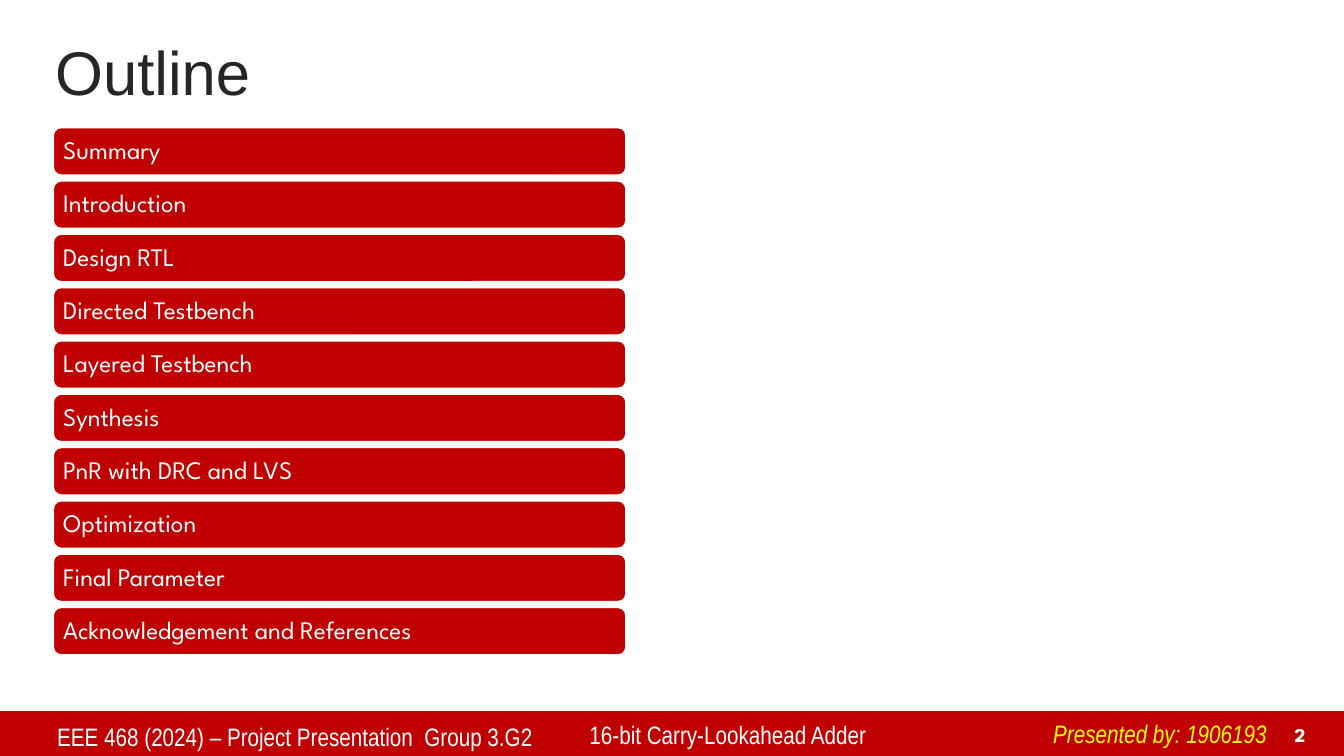
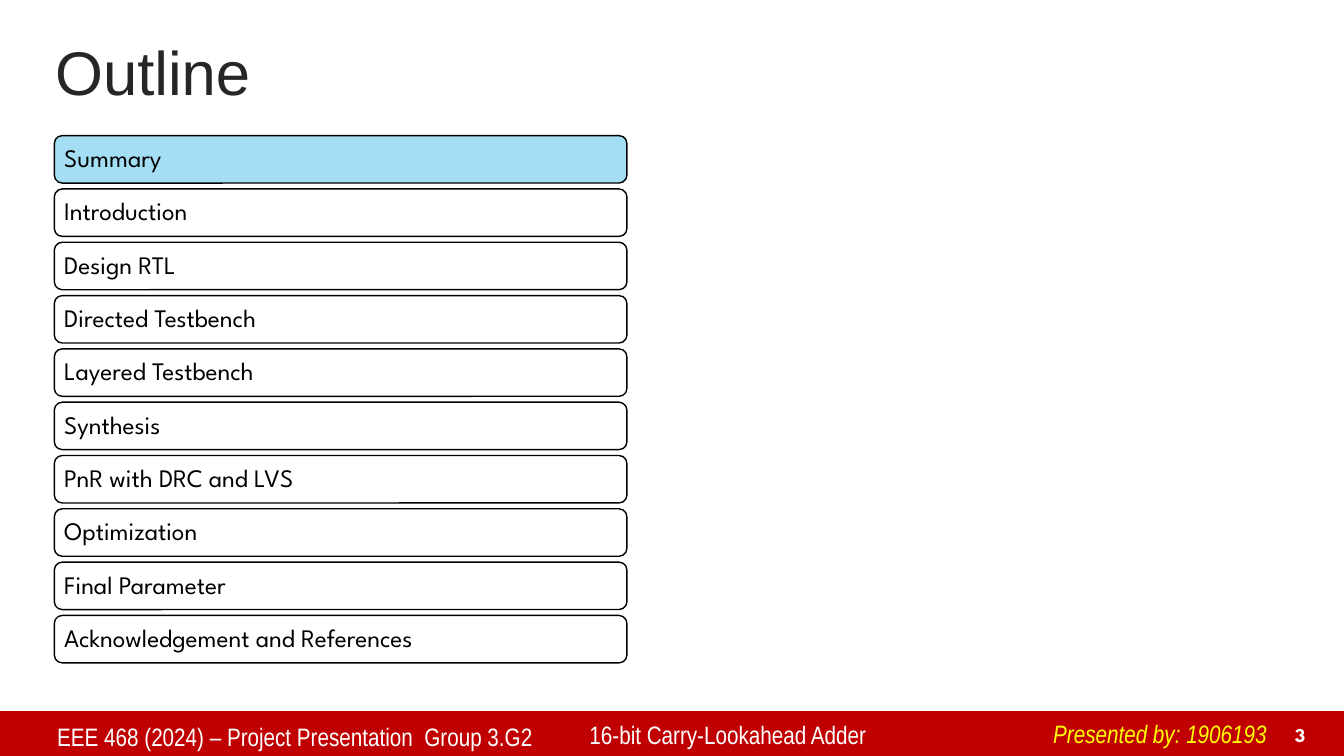
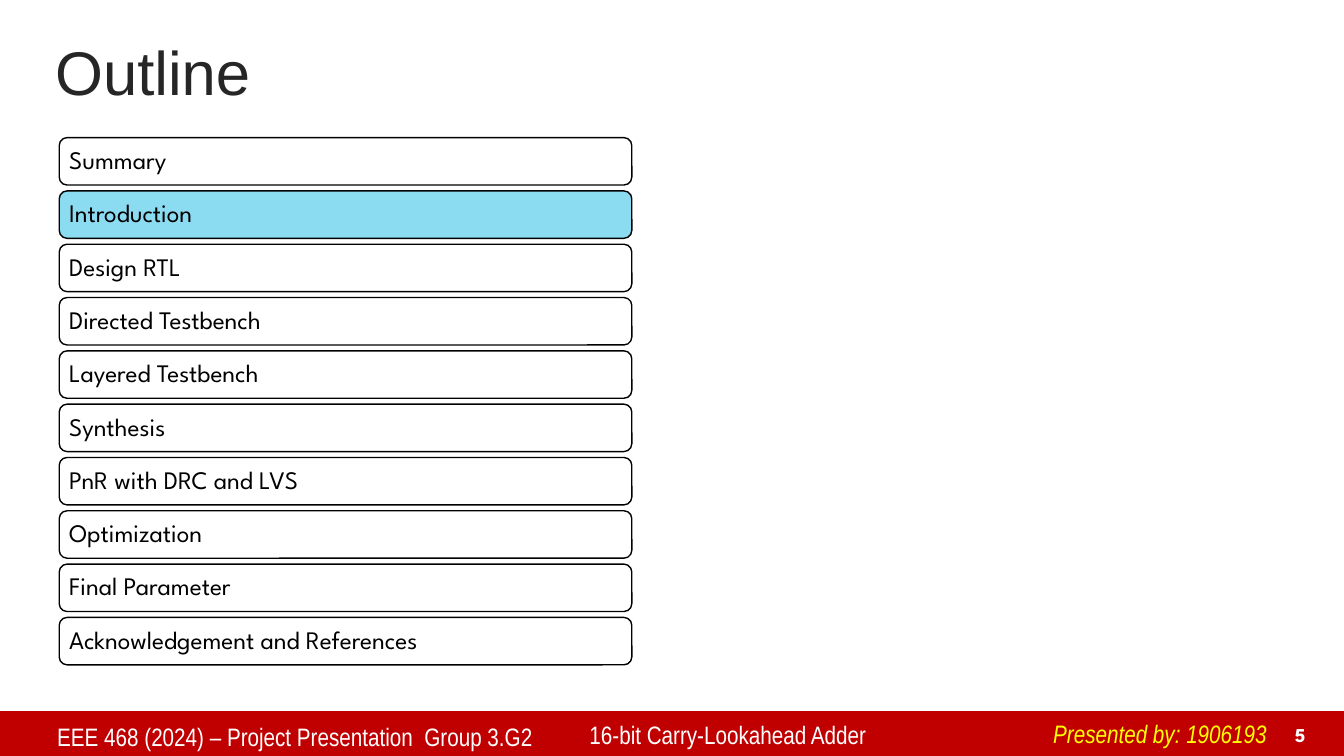
"""Build three outline slides for an adder project presentation."""
from pptx import Presentation
from pptx.dml.color import RGBColor
from pptx.enum.shapes import MSO_SHAPE
from pptx.enum.text import MSO_ANCHOR, PP_ALIGN
from pptx.util import Pt

COLORS = {
    "red": "C00000",
    "white": "FFFFFF",
    "black": "000000",
    "title": "262626",
    "yellow": "FFFF00",
    "sky": "A4DEF4",
    "aqua": "8BDBF1",
}
TITLE_FONT = "Arial"
FOOTER_FONT = "Arial Narrow"
TOPIC_FONT = "League Spartan"

TOPICS = [
    "Summary",
    "Introduction",
    "Design RTL",
    "Directed Testbench",
    "Layered Testbench",
    "Synthesis",
    "PnR with DRC and LVS",
    "Optimization",
    "Final Parameter",
    "Acknowledgement and References",
]
TOPIC_WIDTH, TOPIC_HEIGHT, TOPIC_PITCH = 409, 33.9, 38.08


def rgb(name):
    return RGBColor.from_string(COLORS[name])


def write(frame, text, font, size, color, bold=False, italic=False):
    frame.text = text
    paragraph = frame.paragraphs[0]
    run_font = paragraph.runs[0].font
    run_font.name, run_font.size = font, Pt(size)
    run_font.color.rgb = rgb(color)
    run_font.bold, run_font.italic = bold, italic
    return paragraph


def add_label(slide, box, text, font, size, color, wrap=True, **style):
    frame = slide.shapes.add_textbox(*map(Pt, box)).text_frame
    frame.word_wrap = wrap
    return frame, write(frame, text, font, size, color, **style)


def add_block(slide, kind, box, fill, outline=None):
    block = slide.shapes.add_shape(kind, *map(Pt, box))
    block.shadow.inherit = False
    block.fill.solid()
    block.fill.fore_color.rgb = rgb(fill)
    if outline:
        block.line.color.rgb = rgb(outline)
        block.line.width = Pt(1)
    else:
        block.line.fill.background()
    return block


def add_title(slide, text):
    frame, heading = add_label(slide, (32.4, 25.2, 792, 57.6), text, TITLE_FONT, 44, "title")
    frame.vertical_anchor = MSO_ANCHOR.MIDDLE
    heading.line_spacing = 0.9


def add_footer(slide, number):
    add_block(slide, MSO_SHAPE.RECTANGLE, (0, 508, 960, 32), "red")
    frame, page = add_label(slide, (898.6, 512, 41, 24.5), str(number), TOPIC_FONT, 14,
                            "white", bold=True)
    frame.vertical_anchor = MSO_ANCHOR.BOTTOM
    page.alignment = PP_ALIGN.RIGHT
    add_label(slide, (33.8, 512, 380, 29), "EEE 468 (2024) – Project Presentation  Group 3.G2",
              FOOTER_FONT, 18, "white")
    add_label(slide, (414, 510.5, 305, 29), "16-bit Carry-Lookahead Adder",
              FOOTER_FONT, 18, "white")
    add_label(slide, (745.2, 509.8, 169, 29), "Presented by: 1906193",
              FOOTER_FONT, 18, "yellow", wrap=False, italic=True)


def add_topic(slide, left, top, text, fill, ink, outline):
    box = (left, top, TOPIC_WIDTH, TOPIC_HEIGHT)
    bar = add_block(slide, MSO_SHAPE.ROUNDED_RECTANGLE, box, fill, outline)
    frame = bar.text_frame
    frame.word_wrap = True
    frame.vertical_anchor = MSO_ANCHOR.MIDDLE
    frame.margin_left = frame.margin_right = Pt(5.4)
    frame.margin_top = frame.margin_bottom = Pt(5.4)
    topic = write(frame, text, TOPIC_FONT, 18, ink)
    topic.alignment = PP_ALIGN.LEFT
    topic.line_spacing = 0.9


def add_outline(deck, number, left, top, fill, ink, outline, current=None, highlight=None):
    slide = deck.slides.add_slide(deck.slide_layouts[6])
    add_title(slide, "Outline")
    add_footer(slide, number)
    for index, text in enumerate(TOPICS):
        topic_fill = highlight if text == current else fill
        add_topic(slide, left, top + index * TOPIC_PITCH, text, topic_fill, ink, outline)


def main():
    deck = Presentation()
    deck.slide_width, deck.slide_height = Pt(960), Pt(540)
    add_outline(deck, 2, 38.1, 91.2, "red", "white", "white")
    add_outline(deck, 3, 38.8, 96.9, "white", "black", "black", "Summary", "sky")
    add_outline(deck, 5, 42.3, 98.3, "white", "black", "black", "Introduction", "aqua")
    deck.save("out.pptx")


if __name__ == "__main__":
    main()
